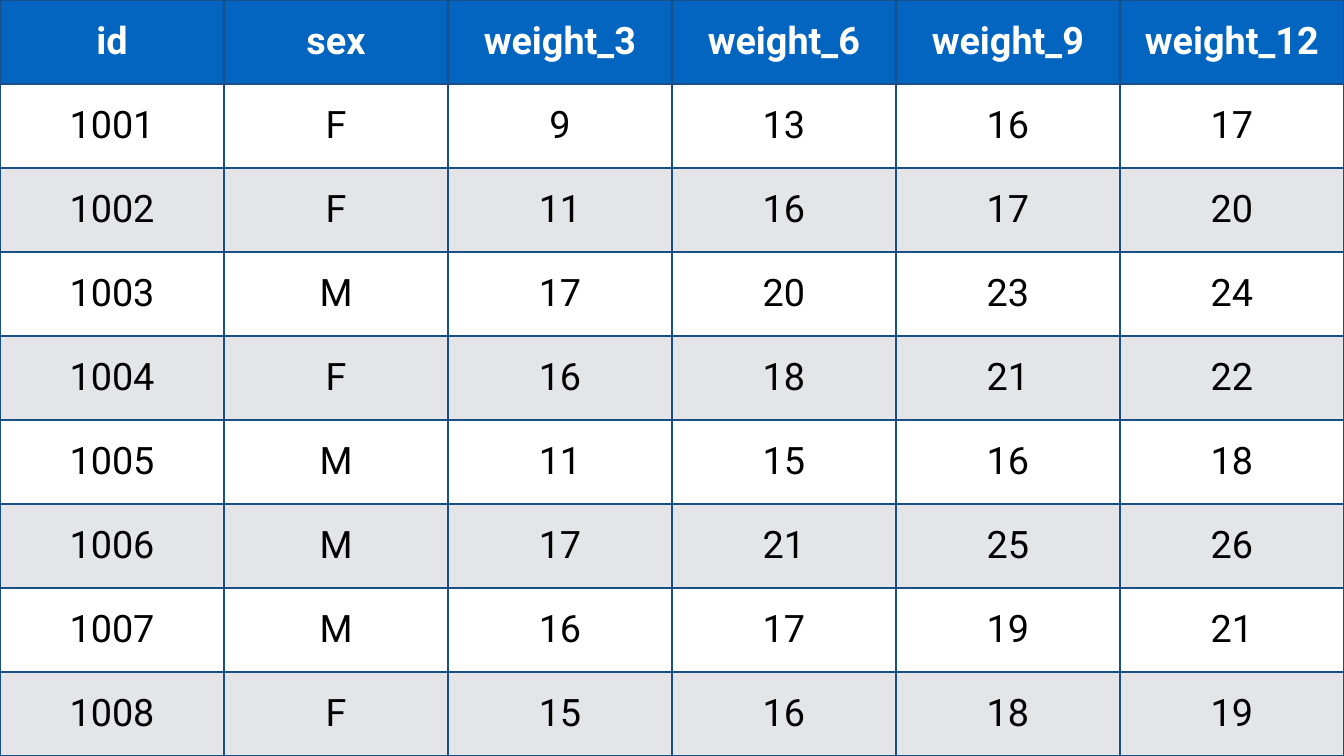
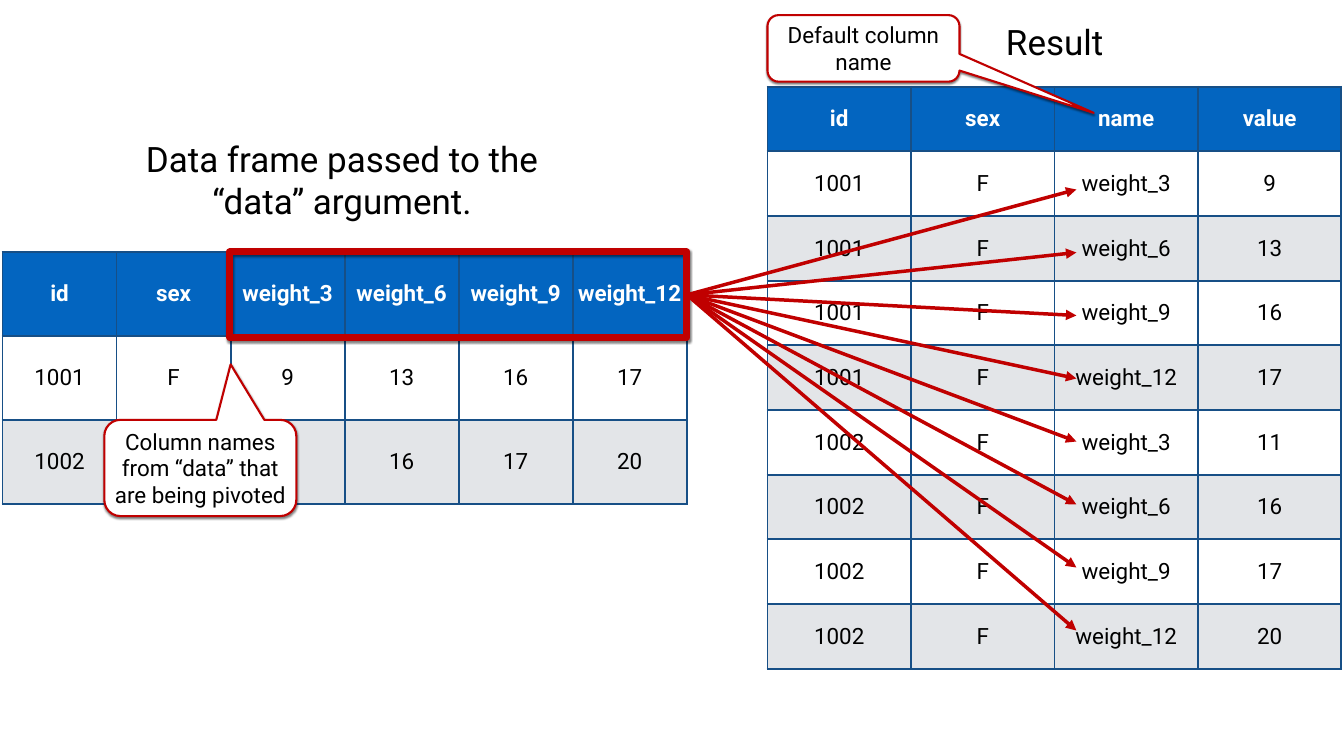
from dataclasses import dataclass

from lxml import etree
from pptx import Presentation
from pptx.dml.color import RGBColor
from pptx.enum.shapes import MSO_CONNECTOR, MSO_SHAPE
from pptx.enum.text import MSO_ANCHOR, MSO_AUTO_SIZE, PP_ALIGN
from pptx.oxml.ns import qn
from pptx.util import Inches, Pt

STRAIGHT = MSO_CONNECTOR.STRAIGHT
RECT = MSO_SHAPE.RECTANGLE
CALLOUT = MSO_SHAPE.ROUNDED_RECTANGULAR_CALLOUT
MIDDLE = MSO_ANCHOR.MIDDLE
GROW = MSO_AUTO_SIZE.SHAPE_TO_FIT_TEXT
CENTER = PP_ALIGN.CENTER
BLANK = 6  # layout without placeholders
RIGHT = 3  # connection site

# Shared look
FONT = "Roboto"
BLUE, NAVY, RED = "0365C0", "174F86", "C00000"
WHITE, GREY, BLACK = "FFFFFF", "E3E5E8", "000000"
WIDTH, HEIGHT = 26.67, 15
INSET = Inches(0.06)
MARGINS = {f"margin_{side}": INSET for side in ("left", "right", "top", "bottom")}

# Weights by month, one row per child
HEAD = ["id", "sex", "weight_3", "weight_6", "weight_9", "weight_12"]
WIDE = [
    [1001, "F", 9, 13, 16, 17],
    [1002, "F", 11, 16, 17, 20],
    [1003, "M", 17, 20, 23, 24],
    [1004, "F", 16, 18, 21, 22],
    [1005, "M", 11, 15, 16, 18],
    [1006, "M", 17, 21, 25, 26],
    [1007, "M", 16, 17, 19, 21],
    [1008, "F", 15, 16, 18, 19],
]
FEW = WIDE[:2]
LONG = [
    [*row[:2], name, value]
    for row in FEW
    for name, value in zip(HEAD[2:], row[2:])
]


@dataclass
class Box:
    left: float
    top: float
    width: float
    height: float

    def lengths(self) -> list:
        return [Inches(v) for v in (self.left, self.top, self.width, self.height)]


@dataclass
class Grid:
    box: Box
    head: list
    rows: list
    size: int


@dataclass
class Label:
    box: Box
    text: str


@dataclass
class Bubble:
    box: Box
    text: str
    tip: tuple


def paint(code: str) -> RGBColor:
    return RGBColor.from_string(code)


def apply(target, values: dict) -> None:
    for key, value in values.items():
        setattr(target, key, value)


def write(frame, text: str, size: int, color: str = BLACK, bold: bool = False) -> None:
    par = frame.paragraphs[0]
    par.alignment = CENTER
    run = par.add_run()
    run.text = text
    apply(run.font, {"name": FONT, "size": Pt(size), "bold": bold})
    run.font.color.rgb = paint(color)


def fill_frame(frame, text: str, size: int) -> None:
    apply(frame, {**MARGINS, "word_wrap": True, "auto_size": GROW,
                  "vertical_anchor": MIDDLE})
    write(frame, text, size)


def add_borders(cell) -> None:
    props = cell._tc.get_or_add_tcPr()
    for side in ("lnL", "lnR", "lnT", "lnB"):
        line = etree.SubElement(props, qn(f"a:{side}"), w=str(Pt(3)))
        fill = etree.SubElement(line, qn("a:solidFill"))
        etree.SubElement(fill, qn("a:srgbClr"), val=NAVY)


def draw_grid(slide, grid: Grid) -> None:
    rows = [grid.head, *grid.rows]
    count = len(grid.head)
    frame = slide.shapes.add_table(len(rows), count, *grid.box.lengths())
    table = frame.table
    for col in table.columns:
        col.width = Inches(grid.box.width / count)
    for r, row in enumerate(rows):
        table.rows[r].height = Inches(grid.box.height / len(rows))
        back = BLUE if r == 0 else (GREY, WHITE)[r % 2]
        for c, value in enumerate(row):
            cell = table.cell(r, c)
            apply(cell, {**MARGINS, "vertical_anchor": MIDDLE})
            add_borders(cell)
            cell.fill.solid()
            cell.fill.fore_color.rgb = paint(back)
            write(cell.text_frame, str(value), grid.size,
                  BLACK if r else WHITE, r == 0)


def draw_label(slide, label: Label) -> None:
    box = slide.shapes.add_textbox(*label.box.lengths())
    fill_frame(box.text_frame, label.text, 50)


def set_line(shape, width: int) -> None:
    shape.line.color.rgb = paint(RED)
    shape.line.width = Pt(width)


def cast_shadow(shape) -> None:
    shape.shadow.inherit = False
    effects = shape.element.spPr.find(qn("a:effectLst"))
    shade = etree.SubElement(effects, qn("a:outerShdw"), blurRad=str(Pt(3)),
                             dist=str(Pt(2)), dir="5400000", rotWithShape="0")
    color = etree.SubElement(shade, qn("a:srgbClr"), val=BLACK)
    etree.SubElement(color, qn("a:alpha"), val="50000")


def draw_frame(slide, box: Box):
    frame = slide.shapes.add_shape(RECT, *box.lengths())
    frame.fill.background()
    set_line(frame, 10)
    cast_shadow(frame)
    return frame


def draw_bubble(slide, bubble: Bubble) -> None:
    shape = slide.shapes.add_shape(CALLOUT, *bubble.box.lengths())
    for i, value in enumerate((*bubble.tip, 0.167)):
        shape.adjustments[i] = value
    shape.fill.solid()
    shape.fill.fore_color.rgb = paint(WHITE)
    set_line(shape, 3)
    cast_shadow(shape)
    fill_frame(shape.text_frame, bubble.text, 32)


def draw_arrow(slide, source, x: float, y: float) -> None:
    arrow = slide.shapes.add_connector(STRAIGHT, 0, 0, Inches(x), Inches(y))
    arrow.begin_connect(source, RIGHT)
    set_line(arrow, 5)
    props = arrow.element.spPr
    etree.SubElement(props.find(qn("a:ln")), qn("a:tailEnd"), type="triangle")
    etree.SubElement(props, qn("a:effectLst"))


def add_slide(deck):
    slide = deck.slides.add_slide(deck.slide_layouts[BLANK])
    slide.background.fill.solid()
    slide.background.fill.fore_color.rgb = paint(WHITE)
    return slide


def main() -> None:
    deck = Presentation()
    apply(deck, {"slide_width": Inches(WIDTH), "slide_height": Inches(HEIGHT)})

    # Slide 1: the wide table
    draw_grid(add_slide(deck), Grid(Box(0, 0, WIDTH, HEIGHT), HEAD, WIDE, 54))

    # Slide 2: from wide to long
    slide = add_slide(deck)
    draw_grid(slide, Grid(Box(0.05, 5, 13.58, 5), HEAD, FEW, 32))
    draw_grid(slide, Grid(Box(15.23, 1.72, 11.39, 11.55),
                          ["id", "sex", "name", "value"], LONG, 32))
    draw_label(slide, Label(Box(2.37, 2.66, 8.84, 1.8),
                            "Data frame passed to the “data” argument."))
    draw_label(slide, Label(Box(16.51, 0.35, 8.84, 0.95), "Result"))
    frame = draw_frame(slide, Box(4.56, 5, 9.07, 1.7))
    draw_bubble(slide, Bubble(Box(2.07, 8.33, 3.81, 1.91),
                              "Column names from “data” that are being pivoted",
                              (0.158, -1.076)))
    # One arrow to each name in the long table
    for i in range(len(LONG)):
        draw_arrow(slide, frame, 21.36, 3.76 + 1.25 * i)
    draw_bubble(slide, Bubble(Box(15.23, 0.3, 3.81, 1.32),
                              "Default column name", (1.199, 0.969)))

    deck.save("out.pptx")


if __name__ == "__main__":
    main()
